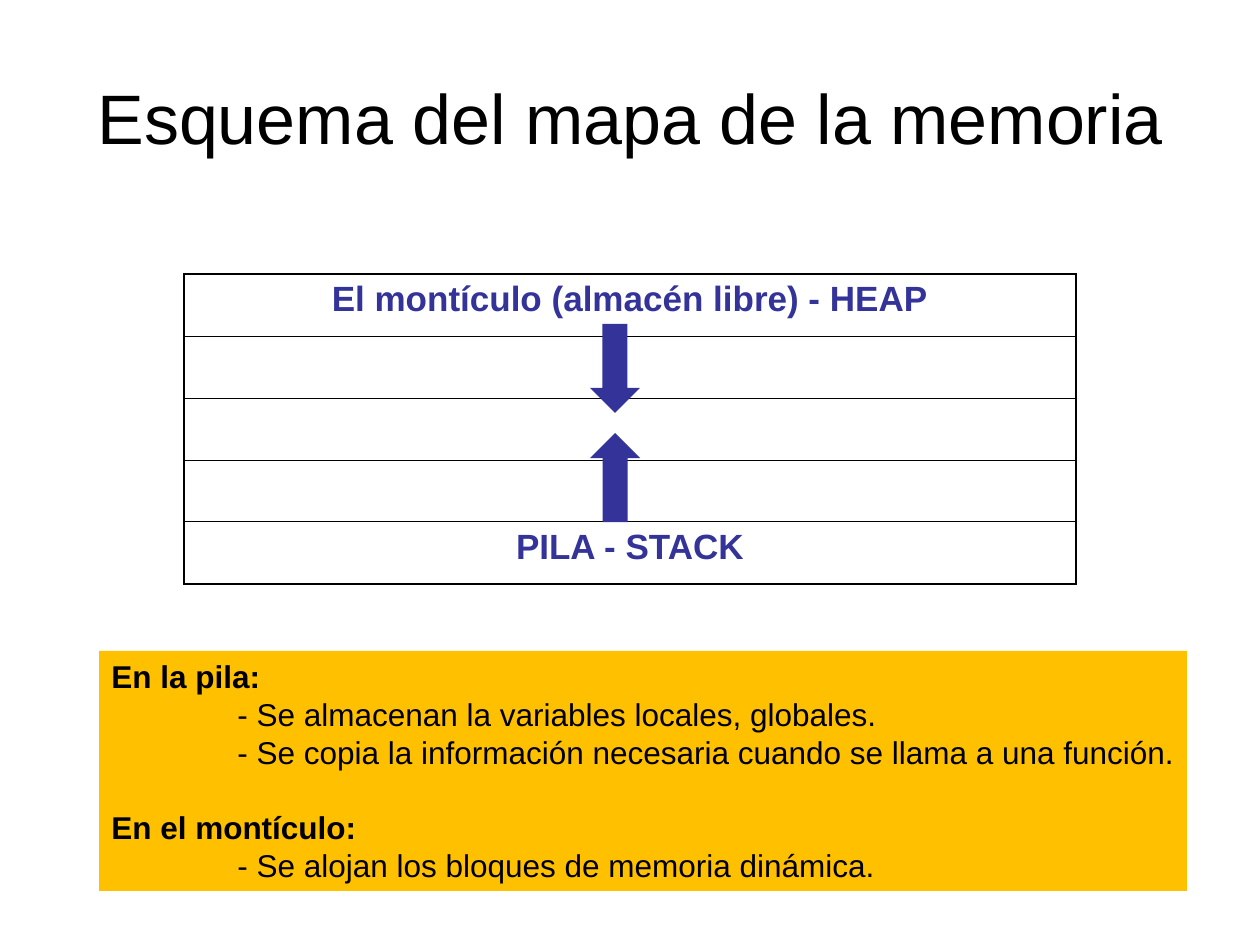
from pptx import Presentation
from pptx.dml.color import RGBColor
from pptx.enum.shapes import MSO_SHAPE
from pptx.enum.text import MSO_ANCHOR, PP_ALIGN
from pptx.oxml.ns import qn
from pptx.util import Pt
from lxml import etree

MID, TOP = MSO_ANCHOR.MIDDLE, MSO_ANCHOR.TOP
LEFT, CENTER = PP_ALIGN.LEFT, PP_ALIGN.CENTER
RECT, ARROW = MSO_SHAPE.RECTANGLE, MSO_SHAPE.DOWN_ARROW

THEME = {
    "font": "Arial",
    "ink": "000000", "blue": "333399", "gold": "FFC000",
    "title": 40, "cell": 20, "note": 18,
    "thick": 1.08, "thin": 0.45, "pitch": 21.6,
}

TITLE = "Esquema del mapa de la memoria"
ROWS = ["El montículo (almacén libre) - HEAP", "", "", "", "PILA - STACK"]
NOTES = [
    ("En la pila:", [
        "- Se almacenan la variables locales, globales.",
        "- Se copia la información necesaria cuando se llama a una función.",
    ]),
    ("En el montículo:", ["- Se alojan los bloques de memoria dinámica."]),
]
ARROWS = [(324, 0), (433, 180)]

TITLE_BOX = (63, 38, 1134, 158)
GRID = (184, 274, 892, 310)
NOTE_BOX = (99, 651, 1088, 240)
ARROW_X, ARROW_W, ARROW_H = 590, 50, 89
INDENT = 126


def px(n):
    return round(n * 914400 / 126)


def box(*dims):
    return [px(n) for n in dims]


def color(name):
    return RGBColor.from_string(THEME[name])


def style(para, size, tone="ink", bold=False, align=LEFT):
    para.alignment = align
    font = para.font
    font.name, font.size, font.bold = THEME["font"], Pt(THEME[size]), bold
    font.color.rgb = color(tone)


def add_shape(slide, kind, dims, tone):
    shape = slide.shapes.add_shape(kind, *box(*dims))
    shape.shadow.inherit = False
    shape.fill.solid()
    shape.fill.fore_color.rgb = color(tone)
    shape.line.fill.background()
    return shape


def add_edge(props, side, width):
    line = etree.Element(qn("a:ln" + side), w=str(Pt(THEME[width])))
    fill = etree.SubElement(line, qn("a:solidFill"))
    etree.SubElement(fill, qn("a:srgbClr"), val=THEME["ink"])
    return props.append(line)


def add_title(slide):
    frame = slide.shapes.add_textbox(*box(*TITLE_BOX)).text_frame
    frame.word_wrap = True
    frame.vertical_anchor = MID
    frame.text = TITLE
    style(frame.paragraphs[0], "title", align=CENTER)


def add_grid(slide):
    count = len(ROWS)
    table = slide.shapes.add_table(count, 1, *box(*GRID)).table
    table.first_row = table.horz_banding = False
    for i, text in enumerate(ROWS):
        table.rows[i].height = px(GRID[3] / count)
        cell = table.cell(i, 0)
        cell.text = text
        para = cell.text_frame.paragraphs[0]
        style(para, "cell", "blue", True, CENTER)
        para.space_before = Pt(5)
        props = cell._tc.get_or_add_tcPr()
        upper = "thick" if i == 0 else "thin"
        lower = "thick" if i == count - 1 else "thin"
        for side, width in zip("LRTB", ("thick", "thick", upper, lower)):
            add_edge(props, side, width)
        cell.fill.background()


def add_notes(slide):
    frame = add_shape(slide, RECT, NOTE_BOX, "gold").text_frame
    frame.word_wrap = False
    frame.vertical_anchor = TOP
    lines = []
    for head, items in NOTES:
        lines.append((head, True))
        lines += [(item, False) for item in items]
    for i, (text, head) in enumerate(lines):
        para = frame.add_paragraph() if i else frame.paragraphs[0]
        para.text = text
        style(para, "note", bold=head)
        para.line_spacing = Pt(THEME["pitch"])
        if head and i:
            para.space_before = Pt(THEME["pitch"])
        if not head:
            para._p.get_or_add_pPr().set("marL", str(px(INDENT)))


def main():
    deck = Presentation()
    deck.slide_width, deck.slide_height = box(1260, 945)
    slide = deck.slides.add_slide(deck.slide_layouts[6])
    add_title(slide)
    add_grid(slide)
    for top, turn in ARROWS:
        arrow = add_shape(slide, ARROW, (ARROW_X, top, ARROW_W, ARROW_H), "blue")
        arrow.rotation = turn
    add_notes(slide)
    deck.save("out.pptx")


if __name__ == "__main__":
    main()
